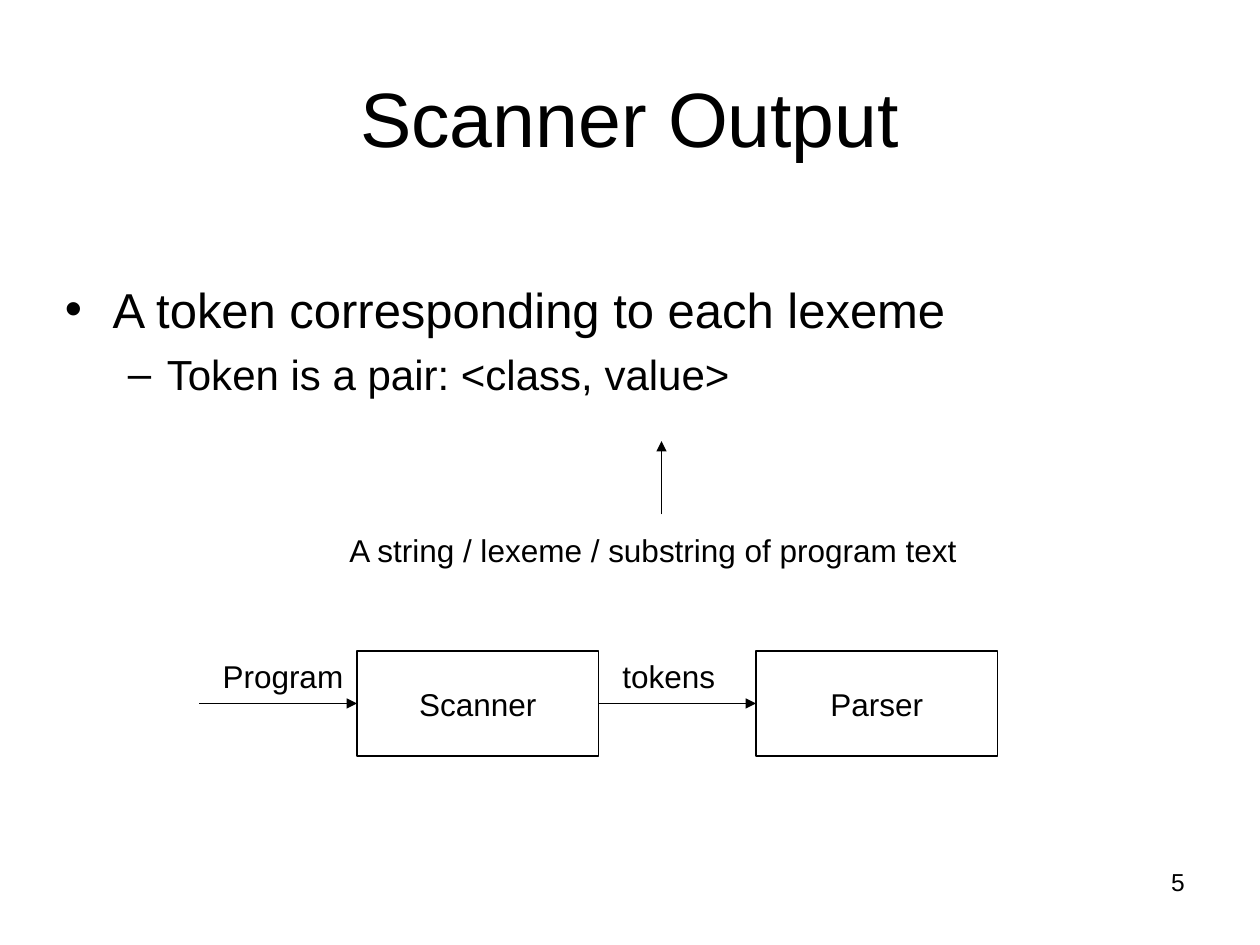
from dataclasses import dataclass

from lxml import etree
from pptx import Presentation
from pptx import util as u
from pptx.dml.color import RGBColor
from pptx.enum import shapes, text
from pptx.oxml.ns import qn


@dataclass(frozen=True)
class Theme:
    font: str = "Arial"
    ink: RGBColor = RGBColor(0, 0, 0)
    paper: RGBColor = RGBColor(255, 255, 255)
    title: int = 44
    point: int = 28
    subpoint: int = 24
    label: int = 18
    number: int = 14
    line: float = 0.75


def write(paragraph, words, theme, size, align=text.PP_ALIGN.LEFT, before=0):
    paragraph.alignment = align
    paragraph.space_before = u.Pt(before)
    run = paragraph.add_run()
    run.text = words
    run.font.name = theme.font
    run.font.size = u.Pt(size)
    run.font.color.rgb = theme.ink


def add_bullet(paragraph, mark, margin, hanging):
    """Hang a bullet mark; margin and hanging are in inches."""
    props = paragraph._p.get_or_add_pPr()
    props.set("marL", str(u.Inches(margin)))
    props.set("indent", str(-u.Inches(hanging)))
    etree.SubElement(props, qn("a:buFont"), typeface="Arial")
    etree.SubElement(props, qn("a:buChar"), char=mark)


class Sketch:
    """Draws on one slide; places and sizes are in cells of a 120 by 90 grid."""

    CELL = u.Inches(1) / 12

    def __init__(self, slide, theme):
        self.slide = slide
        self.theme = theme
        slide.background.fill.solid()
        slide.background.fill.fore_color.rgb = theme.paper

    def cells(self, *counts):
        return [u.Emu(round(count * self.CELL)) for count in counts]

    def frame(self, place, anchor=text.MSO_ANCHOR.TOP, wrap=True):
        frame = self.slide.shapes.add_textbox(*self.cells(*place)).text_frame
        frame.word_wrap = wrap
        frame.vertical_anchor = anchor
        return frame

    def words(self, words, place, size, align=text.PP_ALIGN.CENTER,
              anchor=text.MSO_ANCHOR.TOP, wrap=True):
        frame = self.frame(place, anchor, wrap)
        write(frame.paragraphs[0], words, self.theme, size, align)

    def label(self, words, place):
        self.words(words, place, self.theme.label, wrap=False)

    def bullets(self, points, place):
        frame = self.frame(place)
        for index, (words, level, size, before, mark, margin, hanging) in enumerate(points):
            paragraph = frame.add_paragraph() if index else frame.paragraphs[0]
            paragraph.level = level
            write(paragraph, words, self.theme, size, before=before)
            add_bullet(paragraph, mark, margin, hanging)

    def stage(self, words, place):
        box = self.slide.shapes.add_shape(
            shapes.MSO_SHAPE.RECTANGLE, *self.cells(*place))
        box.shadow.inherit = False
        box.fill.background()
        box.line.color.rgb = self.theme.ink
        box.line.width = u.Pt(self.theme.line)
        box.text_frame.word_wrap = False
        box.text_frame.vertical_anchor = text.MSO_ANCHOR.MIDDLE
        write(box.text_frame.paragraphs[0], words, self.theme,
              self.theme.label, text.PP_ALIGN.CENTER)

    def arrow(self, start, end):
        arrow = self.slide.shapes.add_connector(
            shapes.MSO_CONNECTOR.STRAIGHT, *self.cells(*start, *end))
        arrow.line.color.rgb = self.theme.ink
        arrow.line.width = u.Pt(self.theme.line)
        etree.SubElement(arrow.line._get_or_add_ln(), qn("a:tailEnd"), type="triangle")
        etree.SubElement(arrow._element.spPr, qn("a:effectLst"))


def main():
    deck = Presentation()
    deck.slide_width, deck.slide_height = u.Inches(10), u.Inches(7.5)
    theme = Theme()
    sketch = Sketch(deck.slides.add_slide(deck.slide_layouts[6]), theme)

    sketch.words("5", (86, 82, 28, 6.2), theme.number, text.PP_ALIGN.RIGHT)
    sketch.words("Scanner Output", (6, 3.6, 108, 15), theme.title,
                 anchor=text.MSO_ANCHOR.MIDDLE)
    sketch.bullets([
        ("A token corresponding to each lexeme", 0, theme.point, 7, "•", 0.38, 0.38),
        ("Token is a pair: <class, value>", 1, theme.subpoint, 6, "–", 0.81, 0.31),
    ], (5, 26, 113, 59.4))

    sketch.arrow((63, 49), (63, 42))
    sketch.label("A string / lexeme / substring of program text", (32, 50, 60.4, 4.8))

    top, width, height, gap = 62, 23, 10, 15
    flow = top + height / 2
    stages = [("Program", 20, 13.9, "Scanner"), ("tokens", 58.1, 11.2, "Parser")]
    for index, (label, label_left, label_width, stage) in enumerate(stages):
        left = 34 + index * (width + gap)
        sketch.stage(stage, (left, top, width, height))
        sketch.label(label, (label_left, top, label_width, 4.8))
        sketch.arrow((left - gap, flow), (left, flow))

    deck.save("out.pptx")


if __name__ == "__main__":
    main()
